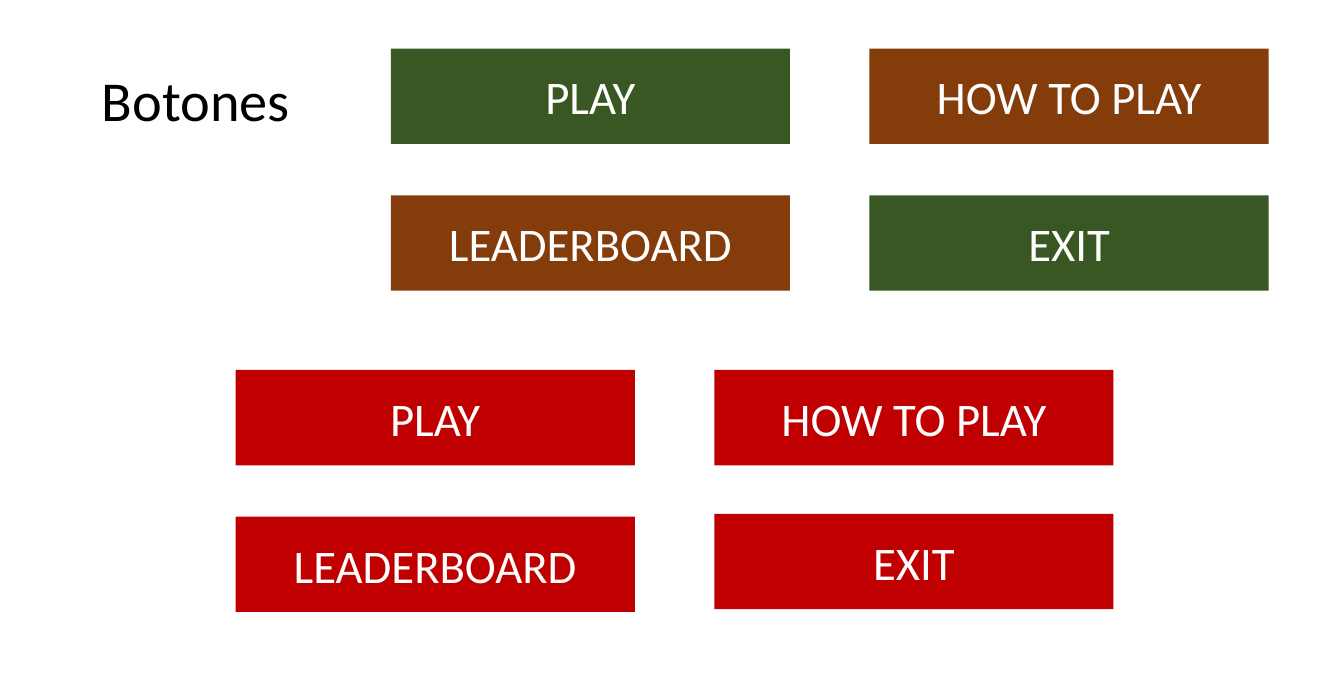
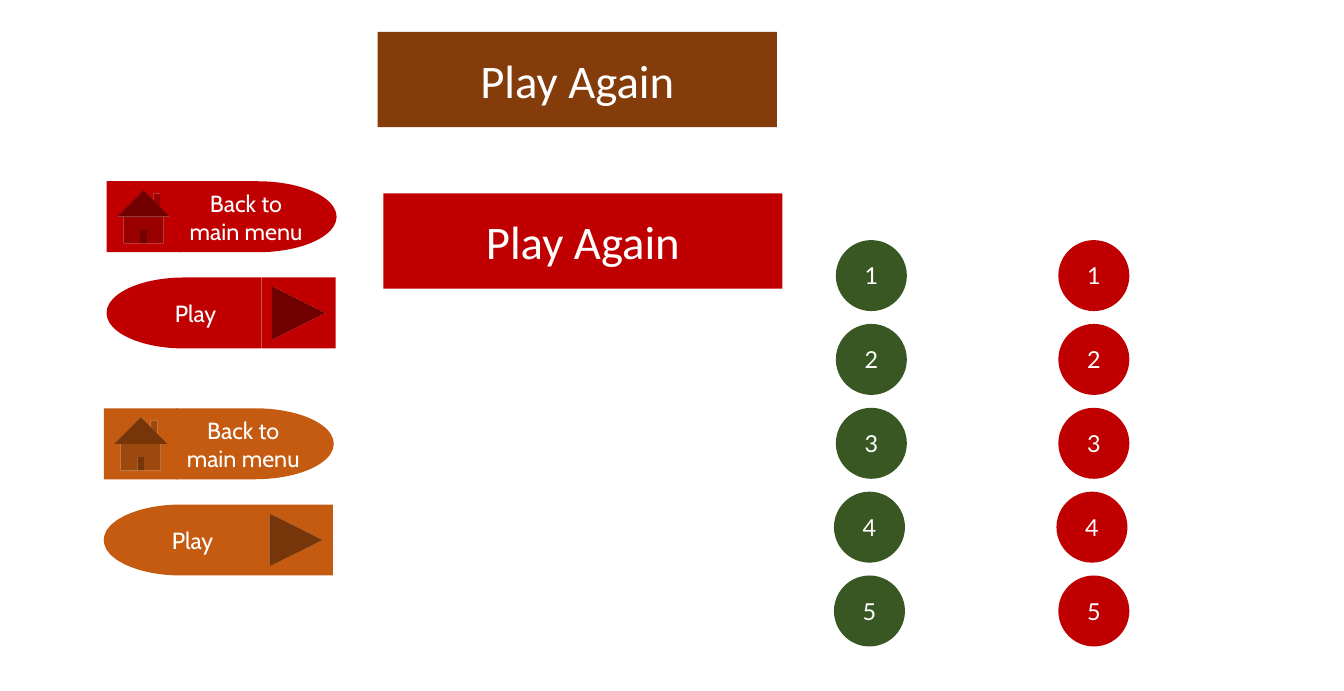
import pptx
import pptx.util
import pptx.dml.color
import pptx.enum.shapes
import pptx.enum.text

KIND = pptx.enum.shapes.MSO_SHAPE
ALIGN = pptx.enum.text.PP_ALIGN
MIDDLE = pptx.enum.text.MSO_ANCHOR.MIDDLE

# Shared style
GREEN, BROWN, RED, ORANGE = "385723", "843C0B", "C00000", "C55A11"
WHITE, BLACK = "FFFFFF", "000000"
BAR = (4.27, 1.02)
LABELS = ["PLAY", "HOW TO PLAY", "LEADERBOARD", "EXIT"]


def color(code):
    return pptx.dml.color.RGBColor.from_string(code)


def inches(*sizes):
    return [pptx.util.Inches(size) for size in sizes]


def write(shape, text, font, size, code, align):
    frame = shape.text_frame
    frame.text = text
    frame.word_wrap = True
    frame.vertical_anchor = MIDDLE
    for line in frame.paragraphs:
        line.alignment = align
        for run in line.runs:
            run.font.name = font
            run.font.size = pptx.util.Pt(size)
            run.font.color.rgb = color(code)


def button(slide, kind, box, fill, text="", font="Calibri", size=36):
    shape = slide.shapes.add_shape(kind, *inches(*box))
    shape.shadow.inherit = False
    shape.fill.solid()
    shape.fill.fore_color.rgb = color(fill)
    shape.line.fill.background()
    if text:
        write(shape, text, font, size, WHITE, ALIGN.CENTER)
    return shape


def title(slide, text, box):
    shape = slide.shapes.add_textbox(*inches(*box))
    write(shape, text, "Calibri", 43.4, BLACK, ALIGN.LEFT)
    shape.text_frame.paragraphs[0].line_spacing = 0.9


def menu(slide, left, top, fills, lift=0):
    """Two by two grid of wide buttons; lift raises the last one."""
    for i, (text, fill) in enumerate(zip(LABELS, fills)):
        row, col = divmod(i, 2)
        rise = lift * row * col
        button(slide, KIND.RECTANGLE,
               (left + col * 5.12, top + row * 1.57 - rise, *BAR), fill, text)


def levels(slide, left, top, fill, shifted):
    """Column of numbered discs; the shifted ones sit slightly left."""
    span, count = 3.59, 5
    for i in range(count):
        shift = 0.02 if i + 1 in shifted else 0
        button(slide, KIND.OVAL,
               (left - shift, top + i * span / (count - 1), 0.76, 0.76),
               fill, str(i + 1), "Lato", 18)


def pills(slide, left, top, fill):
    """Home pill above a mirrored play pill."""
    high, icon, body = 0.76, 0.79, 1.66
    low = top + 1.03
    button(slide, KIND.ACTION_BUTTON_HOME, (left, top, icon, high), fill)
    button(slide, KIND.FLOWCHART_DELAY, (left + icon - 0.02, top, body + 0.03, high),
           fill, "Back to main menu", "Cabin", 18)
    button(slide, KIND.ACTION_BUTTON_FORWARD_OR_NEXT,
           (left + body, low, icon, high), fill)
    play = button(slide, KIND.FLOWCHART_DELAY, (left, low, body, high),
                  fill, "Play", "Cabin", 18)
    play.element.spPr.xfrm.set("flipH", "1")


def main():
    deck = pptx.Presentation()
    deck.slide_width = pptx.util.Pt(1035)
    deck.slide_height = pptx.util.Pt(532.5)
    blank = deck.slide_layouts[6]

    # Main menu buttons
    slide = deck.slides.add_slide(blank)
    title(slide, "Botones", (0.99, 0.39, 12.4, 1.43))
    menu(slide, 4.18, 0.52, [GREEN, BROWN, BROWN, GREEN])
    menu(slide, 2.52, 3.96, [RED] * 4, lift=0.03)

    # Game buttons
    slide = deck.slides.add_slide(blank)
    for left, fill, shifted in ((8.94, GREEN, (4, 5)), (11.32, RED, (4,))):
        levels(slide, left, 2.57, fill, shifted)
    for left, top, fill in ((1.11, 4.37, ORANGE), (1.14, 1.94, RED)):
        pills(slide, left, top, fill)
    for left, top, fill in ((4.04, 0.34, BROWN), (4.1, 2.07, RED)):
        button(slide, KIND.RECTANGLE, (left, top, *BAR), fill, "Play Again")

    deck.save("out.pptx")


if __name__ == "__main__":
    main()
